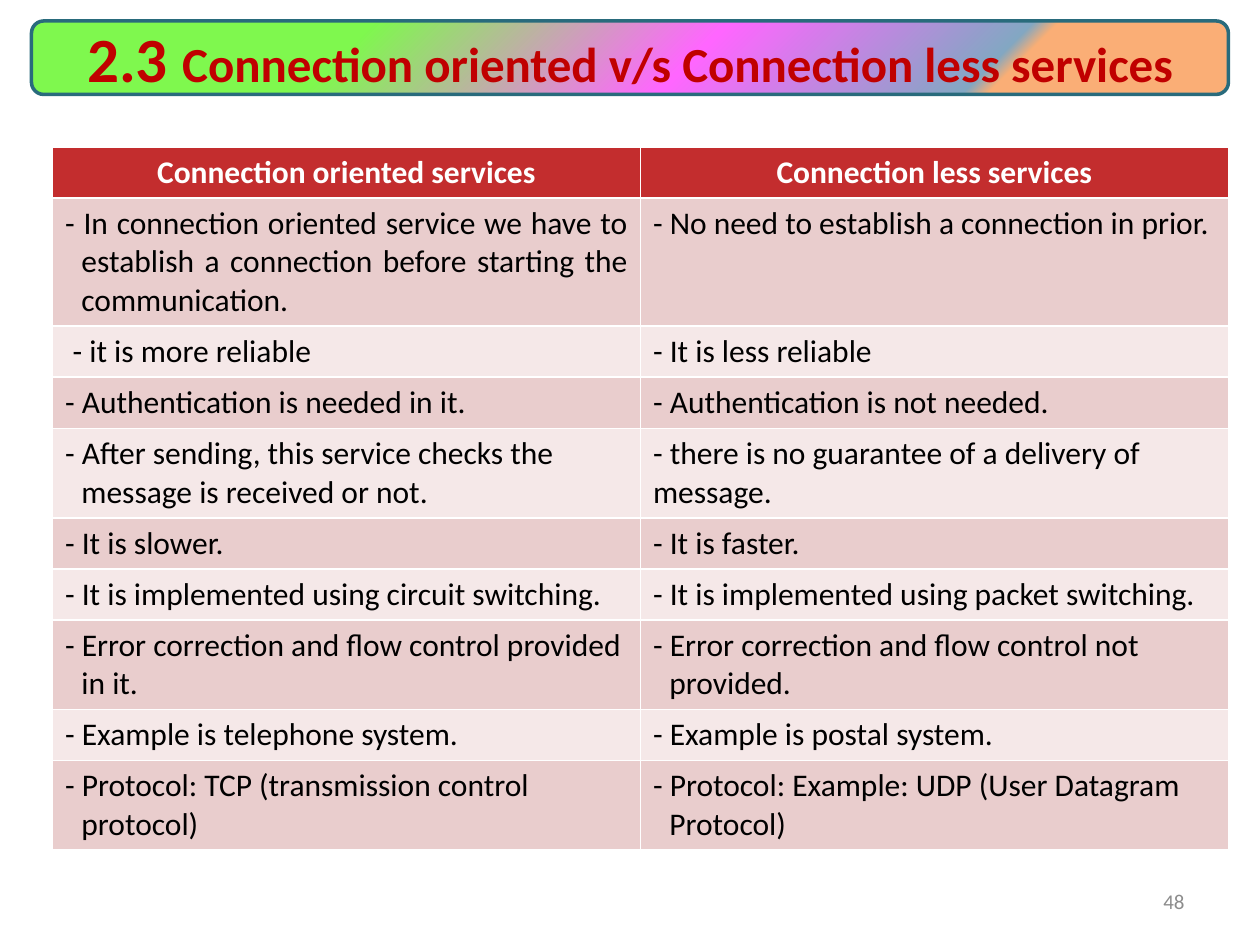
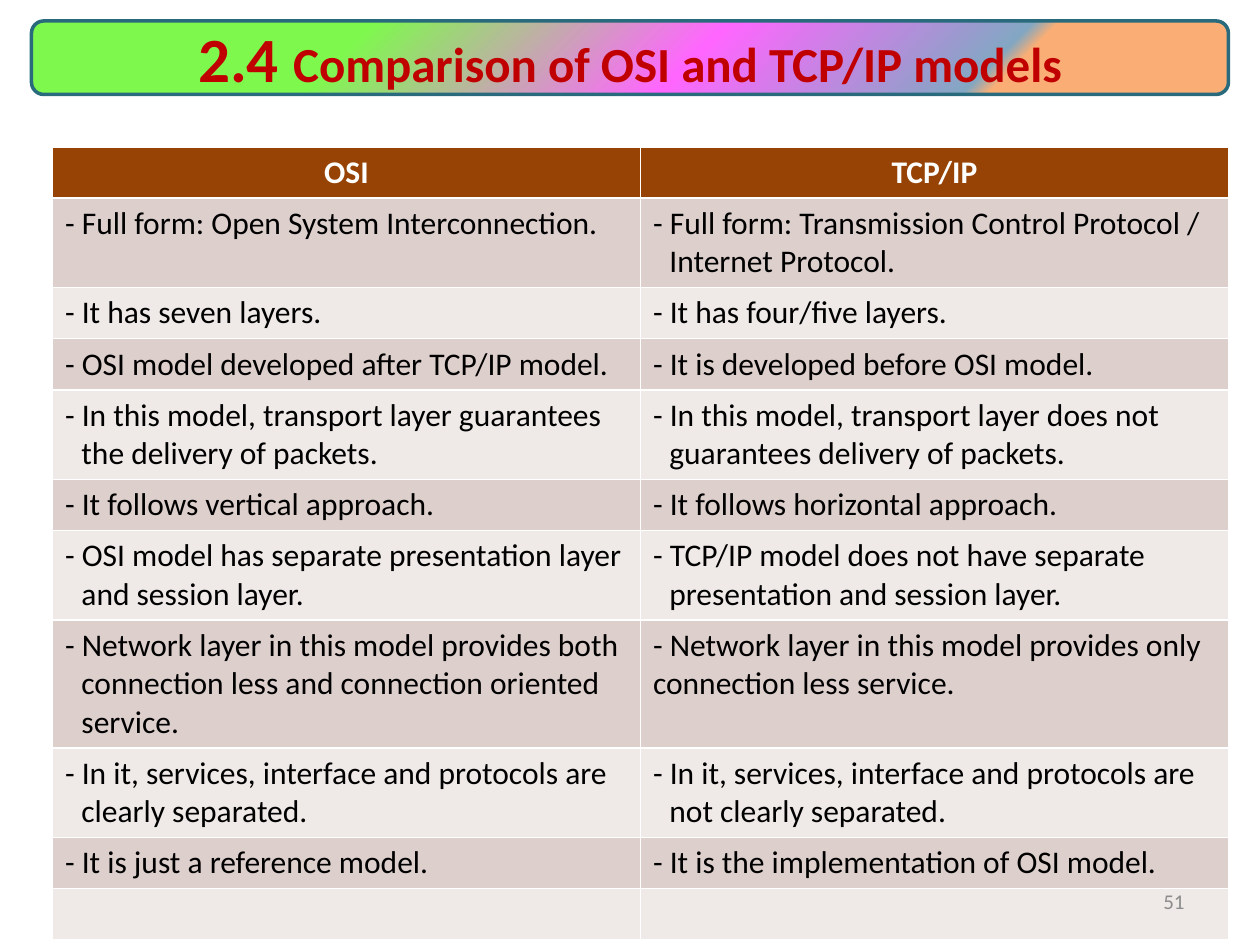
import pptx
import pptx.dml.color
import pptx.enum.shapes
import pptx.enum.text
import pptx.oxml
import pptx.oxml.ns
import pptx.util

RGBColor = pptx.dml.color.RGBColor
Align = pptx.enum.text.PP_ALIGN
Anchor = pptx.enum.text.MSO_ANCHOR

WHITE = RGBColor(0xFF, 0xFF, 0xFF)
BLACK = RGBColor(0x00, 0x00, 0x00)
TITLE_RED = RGBColor(0xC0, 0x00, 0x00)
BANNER_EDGE = RGBColor(0x29, 0x6B, 0x7C)
NUMBER_GREY = RGBColor(0x8C, 0x8C, 0x8C)
BANNER_STOPS = (
    (19, RGBColor(0xFA, 0xAE, 0x76)),
    (21, RGBColor(0x83, 0xA7, 0xC3)),
    (45, RGBColor(0xFF, 0x66, 0xFF)),
    (73, RGBColor(0x7F, 0xF8, 0x4E)),
)
# Header, odd rows, even rows
RED_BANDS = (RGBColor(0xC3, 0x2D, 0x2E), RGBColor(0xE9, 0xCD, 0xCD), RGBColor(0xF5, 0xE8, 0xE8))
BROWN_BANDS = (RGBColor(0x96, 0x43, 0x05), RGBColor(0xDD, 0xCF, 0xCC), RGBColor(0xEF, 0xE9, 0xE7))

FONT = "Calibri"
GRID_COLUMNS, GRID_ROWS = 120, 90
BANNER_AREA = (3, 2, 114, 7)
NUMBER_AREA = (86, 83.4, 28, 4.8)
TABLE_LEFT, TABLE_TOP, TABLE_WIDTH, TABLE_ROW = 5, 14, 112, 4.8
HANG = 0.13

# Cells whose wrapped lines start at the cell margin, and one that is set in slightly
INDENTS = {
    "- there is no guarantee of a delivery of message.": (0, 0),
    "- Network layer in this model provides only connection less service.": (0, 0),
    "- it is more reliable": (0.06, 0),
}

SERVICES = (
    ("Connection oriented services", "Connection less services"),
    ("- In connection oriented service we have to establish a connection before starting "
     "the communication.",
     "- No need to establish a connection in prior."),
    ("- it is more reliable", "- It is less reliable"),
    ("- Authentication is needed in it.", "- Authentication is not needed."),
    ("- After sending, this service checks the message is received or not.",
     "- there is no guarantee of a delivery of message."),
    ("- It is slower.", "- It is faster."),
    ("- It is implemented using circuit switching.",
     "- It is implemented using packet switching."),
    ("- Error correction and flow control provided in it.",
     "- Error correction and flow control not provided."),
    ("- Example is telephone system.", "- Example is postal system."),
    ("- Protocol: TCP (transmission control protocol)",
     "- Protocol: Example: UDP (User Datagram Protocol)"),
)

MODELS = (
    ("OSI", "TCP/IP"),
    ("- Full form: Open System Interconnection.",
     "- Full form: Transmission Control Protocol / Internet Protocol."),
    ("- It has seven layers.", "- It has four/five layers."),
    ("- OSI model developed after TCP/IP model.", "- It is developed before OSI model."),
    ("- In this model, transport layer guarantees the delivery of packets.",
     "- In this model, transport layer does not guarantees delivery of packets."),
    ("- It follows vertical approach.", "- It follows horizontal approach."),
    ("- OSI model has separate presentation layer and session layer.",
     "- TCP/IP model does not have separate presentation and session layer."),
    ("- Network layer in this model provides both connection less and connection "
     "oriented service.",
     "- Network layer in this model provides only connection less service."),
    ("- In it, services, interface and protocols are clearly separated.",
     "- In it, services, interface and protocols are not clearly separated."),
    ("- It is just a reference model.", "- It is the implementation of OSI model."),
    ("", ""),
)


def set_font(font, size=None, color=BLACK, bold=False):
    font.name = FONT
    font.color.rgb = color
    font.bold = bold
    if size:
        font.size = pptx.util.Pt(size)


def set_indent(paragraph, left, first_line):
    properties = paragraph._p.get_or_add_pPr()
    properties.set("marL", str(pptx.util.Inches(left)))
    properties.set("indent", str(pptx.util.Inches(first_line)))


def corner_gradient(stops):
    """Radial gradient that spreads from the bottom right corner."""
    stop_xml = "".join(
        f'<a:gs pos="{percent * 1000}"><a:srgbClr val="{color}"/></a:gs>'
        for percent, color in stops)
    return pptx.oxml.parse_xml(
        f'<a:gradFill {pptx.oxml.ns.nsdecls("a")} rotWithShape="1">'
        f'<a:gsLst>{stop_xml}</a:gsLst>'
        '<a:path path="circle"><a:fillToRect l="100000" t="100000"/></a:path>'
        '<a:tileRect r="-100000" b="-100000"/></a:gradFill>')


class ComparisonDeck:
    def __init__(self):
        self.presentation = pptx.Presentation()
        self.presentation.slide_width = pptx.util.Inches(10)
        self.presentation.slide_height = pptx.util.Inches(7.5)
        self.slide = None

    def area(self, left, top, width, height):
        column = self.presentation.slide_width / GRID_COLUMNS
        row = self.presentation.slide_height / GRID_ROWS
        return (round(left * column), round(top * row),
                round(width * column), round(height * row))

    def new_slide(self):
        self.slide = self.presentation.slides.add_slide(self.presentation.slide_layouts[5])

    def table(self, rows, bands):
        header_fill, *body_fills = bands
        area = self.area(TABLE_LEFT, TABLE_TOP, TABLE_WIDTH, TABLE_ROW * len(rows))
        table = self.slide.shapes.add_table(len(rows), len(rows[0]), *area).table
        for row_index, texts in enumerate(rows):
            for column_index, text in enumerate(texts):
                cell = table.cell(row_index, column_index)
                cell.text = text
                cell.fill.solid()
                paragraph = cell.text_frame.paragraphs[0]
                if row_index == 0:
                    cell.fill.fore_color.rgb = header_fill
                    paragraph.alignment = Align.CENTER
                    set_font(paragraph.font, 18, WHITE, bold=True)
                    continue
                cell.fill.fore_color.rgb = body_fills[(row_index - 1) % 2]
                set_font(paragraph.font, 18)
                set_indent(paragraph, *INDENTS.get(text, (HANG, -HANG)))
                if (row_index, column_index) == (1, 0):
                    paragraph.alignment = Align.JUSTIFY

    def page_number(self, number):
        frame = self.slide.shapes.add_textbox(*self.area(*NUMBER_AREA)).text_frame
        frame.word_wrap = True
        frame.vertical_anchor = Anchor.MIDDLE
        paragraph = frame.paragraphs[0]
        paragraph.text = str(number)
        paragraph.alignment = Align.RIGHT
        set_font(paragraph.font, 12, NUMBER_GREY)

    def title(self, section, heading):
        area = self.area(*BANNER_AREA)
        banner = self.slide.shapes.add_shape(
            pptx.enum.shapes.MSO_SHAPE.ROUNDED_RECTANGLE, *area)
        banner.shadow.inherit = False
        banner.line.color.rgb = BANNER_EDGE
        banner.line.width = pptx.util.Pt(2)
        geometry = banner.element.spPr.find(pptx.oxml.ns.qn("a:prstGeom"))
        geometry.addnext(corner_gradient(BANNER_STOPS))

        title = self.slide.shapes.title
        banner.element.addnext(title.element)
        title.left, title.top, title.width, title.height = area
        frame = title.text_frame
        frame.word_wrap = True
        frame.auto_size = pptx.enum.text.MSO_AUTO_SIZE.NONE
        frame.vertical_anchor = Anchor.MIDDLE
        paragraph = frame.paragraphs[0]
        paragraph.alignment = Align.CENTER
        set_font(paragraph.font, color=TITLE_RED, bold=True)
        for text, size in ((f"{section} ", 36), (heading, 28)):
            run = paragraph.add_run()
            run.text = text
            run.font.size = pptx.util.Pt(size)

    def comparison(self, section, heading, rows, bands, number):
        self.new_slide()
        self.table(rows, bands)
        self.page_number(number)
        self.title(section, heading)


def main():
    deck = ComparisonDeck()
    deck.comparison("2.3", "Connection oriented v/s Connection less services",
                    SERVICES, RED_BANDS, 48)
    deck.comparison("2.4", "Comparison of OSI and TCP/IP models",
                    MODELS, BROWN_BANDS, 51)
    deck.presentation.save("out.pptx")


if __name__ == "__main__":
    main()
